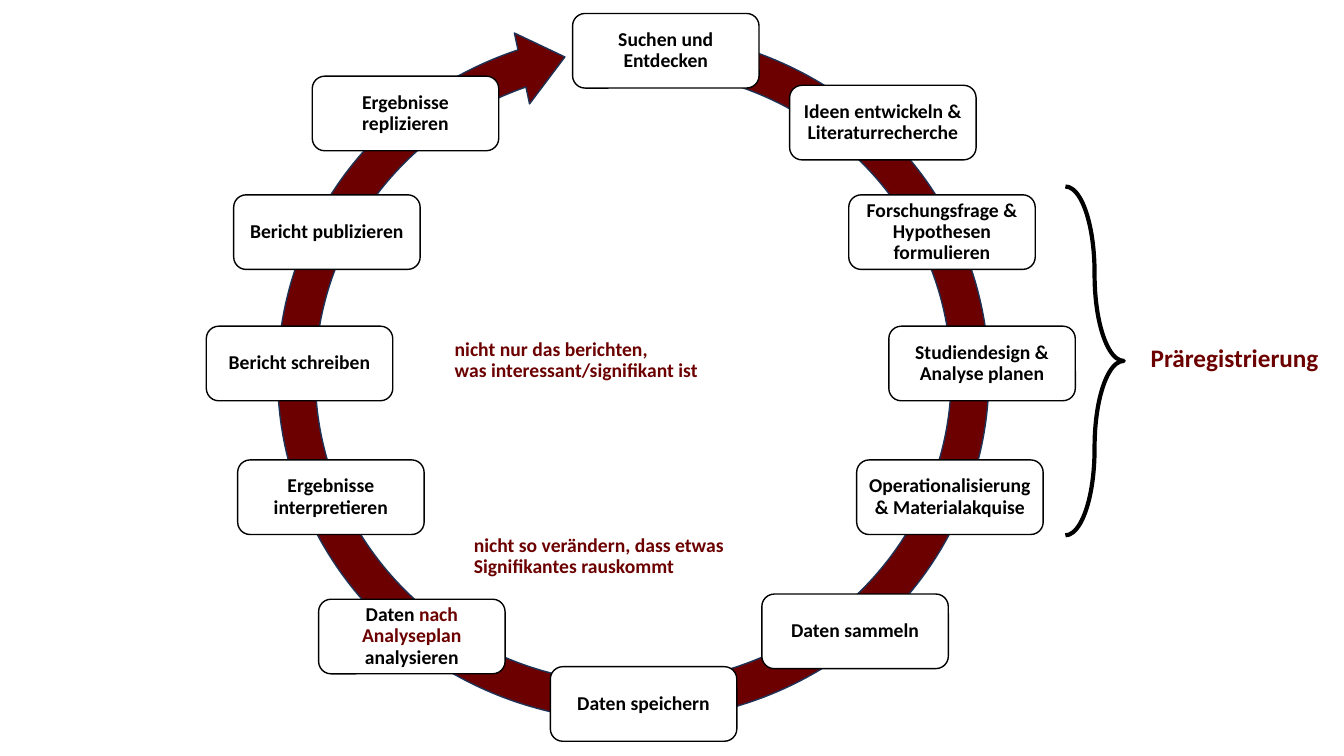
from pptx import Presentation
from pptx.dml.color import RGBColor
from pptx.enum.shapes import MSO_SHAPE
from pptx.enum.text import MSO_ANCHOR, PP_ALIGN
from pptx.util import Cm, Pt

ROUNDED = MSO_SHAPE.ROUNDED_RECTANGLE
CIRCULAR_ARROW = MSO_SHAPE.CIRCULAR_ARROW
RIGHT_BRACE = MSO_SHAPE.RIGHT_BRACE
MIDDLE = MSO_ANCHOR.MIDDLE
LEFT, CENTER = PP_ALIGN.LEFT, PP_ALIGN.CENTER

RED, BLACK, WHITE, NAVY = "6C0000", "000000", "FFFFFF", "1E3256"
STAGE_WIDTH, STAGE_HEIGHT = 4.7, 1.88
UPPER, MID, LOWER = 4.81, 8.12, 11.49

# Clockwise from the top: offset in the cycle box (cm), then the label runs
STAGES = [
    (9.23, 0.24, [("Suchen und Entdecken", BLACK)]),
    (14.7, 2.05, [("Ideen entwickeln & Literaturrecherche", BLACK)]),
    (16.19, UPPER, [("Forschungsfrage & Hypothesen formulieren", BLACK)]),
    (17.2, MID, [("Studiendesign & Analyse planen", BLACK)]),
    (16.39, LOWER, [("Operationalisierung & Materialakquise", BLACK)]),
    (14, 14.87, [("Daten sammeln", BLACK)]),
    (8.67, 16.7, [("Daten speichern", BLACK)]),
    (2.83, 15, [("Daten ", BLACK), ("nach Analyseplan ", RED),
                ("analysieren", BLACK)]),
    (0.79, LOWER, [("Ergebnisse interpretieren", BLACK)]),
    (0, MID, [("Bericht schreiben", BLACK)]),
    (0.69, UPPER, [("Bericht publizieren", BLACK)]),
    (2.67, 1.82, [("Ergebnisse replizieren", BLACK)]),
]


def color(hex_value):
    return RGBColor.from_string(hex_value)


def write(frame, runs, size=14, align=CENTER, inset=0.13):
    """Fill a frame with (text, colour) runs; a newline breaks the line."""
    frame.word_wrap = True
    frame.vertical_anchor = MIDDLE
    frame.margin_left = frame.margin_right = Cm(inset)
    frame.margin_top = frame.margin_bottom = Cm(0.13)
    paragraph = frame.paragraphs[0]
    paragraph.alignment = align
    paragraph.line_spacing = 0.9
    for words, hex_value in runs:
        for index, line in enumerate(words.split("\n")):
            if index:
                paragraph.add_line_break()
            run = paragraph.add_run()
            run.text = line
            run.font.name = "Calibri"
            run.font.size = Pt(size)
            run.font.bold = True
            run.font.color.rgb = color(hex_value)


def add_outline(slide, preset, left, top, width, height, fill, line, weight):
    shape = slide.shapes.add_shape(
        preset, Cm(left), Cm(top), Cm(width), Cm(height))
    shape.shadow.inherit = False
    if fill:
        shape.fill.solid()
        shape.fill.fore_color.rgb = color(fill)
    else:
        shape.fill.background()
    shape.line.color.rgb = color(line)
    shape.line.width = Pt(weight)
    return shape


def add_label(slide, words, left, top, width, height, **text_format):
    label = slide.shapes.add_textbox(Cm(left), Cm(top), Cm(width), Cm(height))
    write(label.text_frame, [(words, RED)], **text_format)


def add_research_cycle(slide, left, top):
    ring = add_outline(slide, CIRCULAR_ARROW, left + 1.63, top - 0.02,
                       18.26, 18.8, RED, NAVY, 1)
    ring.rotation = 270
    for index, value in enumerate((0.052, 4.678, 204.072, 4.144, 0.05)):
        ring.adjustments[index] = value
    for dx, dy, runs in STAGES:
        stage = add_outline(slide, ROUNDED, left + dx, top + dy,
                            STAGE_WIDTH, STAGE_HEIGHT, WHITE, BLACK, 1)
        write(stage.text_frame, runs, inset=0.18)


def add_cautions(slide, left, top):
    add_label(slide, "nicht nur das berichten,\nwas interessant/signifikant ist",
              left, top, 7, 1.68, align=LEFT)
    add_label(slide, "nicht so verändern, dass etwas Signifikantes rauskommt",
              left + 0.48, top + 4.93, 6.96, 1.68, align=LEFT)


def add_preregistration(slide, left, top, height):
    brace = add_outline(slide, RIGHT_BRACE, left, top, 1.47, height,
                        None, BLACK, 3)
    brace.adjustments[0] = 1.48
    add_label(slide, "Präregistrierung", left + 1.93,
              top + height / 2 - 0.88, 4.67, 1.68, size=18)


def main():
    deck = Presentation()
    deck.slide_width, deck.slide_height = Cm(33.87), Cm(19.05)
    slide = deck.slides.add_slide(deck.slide_layouts[6])
    add_research_cycle(slide, 5.2, 0.1)
    add_cautions(slide, 11.33, 8.25)
    add_preregistration(slide, 26.85, 4.7, 8.79)
    deck.save("out.pptx")


if __name__ == "__main__":
    main()
